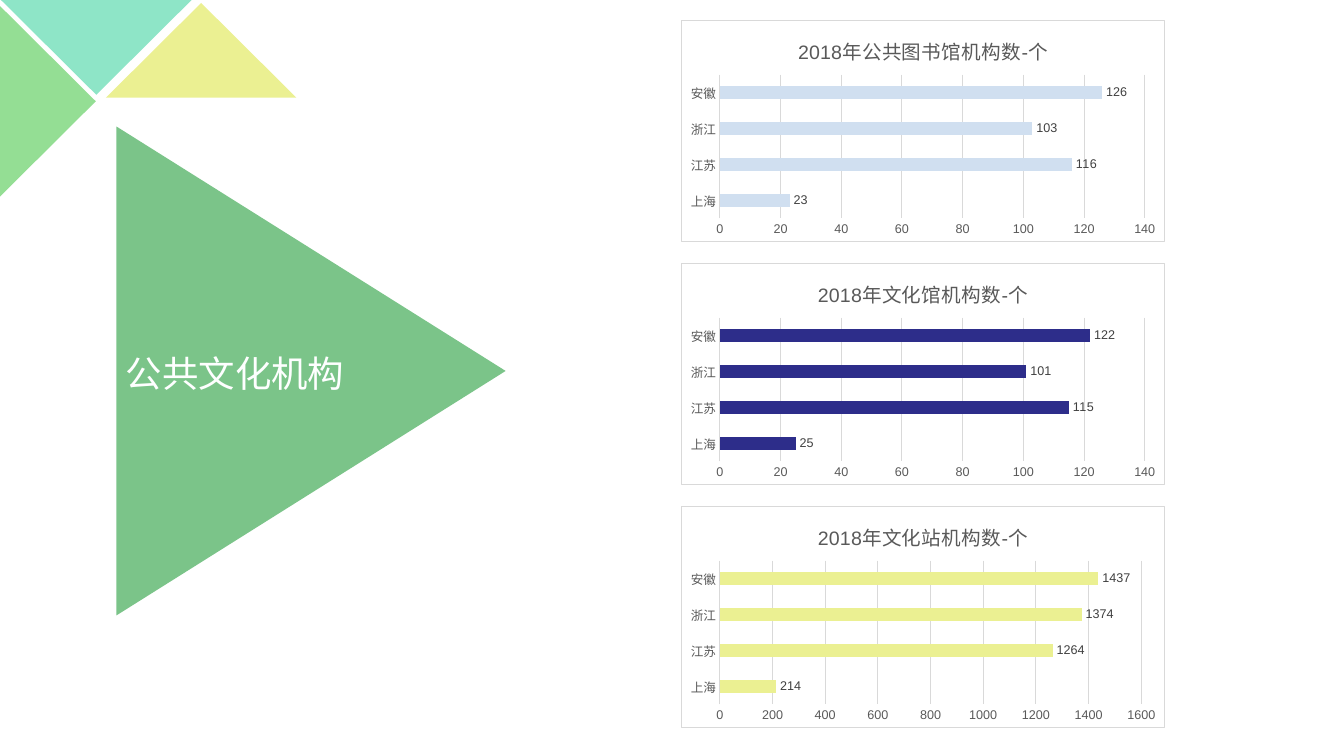
import pptx
import pptx.chart.data
import pptx.dml.color
import pptx.enum.chart
import pptx.enum.shapes
import pptx.enum.text
import pptx.oxml
import pptx.util
from pptx.dml.color import RGBColor
from pptx.util import Inches

GREEN = RGBColor(0x7B, 0xC4, 0x89)
LIGHT_GREEN = RGBColor(0x94, 0xDE, 0x94)
MINT = RGBColor(0x8E, 0xE5, 0xC7)
YELLOW = RGBColor(0xEB, 0xF0, 0x92)
PALE_BLUE = RGBColor(0xD0, 0xDF, 0xF0)
NAVY = RGBColor(0x2D, 0x2D, 0x8A)
NEAR_WHITE = RGBColor(0xFE, 0xFF, 0xFF)
BLACK = RGBColor(0, 0, 0)
LABEL_GREY = RGBColor(0x40, 0x40, 0x40)
TEXT_GREY = RGBColor(0x59, 0x59, 0x59)
LINE_GREY = RGBColor(0xD9, 0xD9, 0xD9)

REGIONS = ["上海", "江苏", "浙江", "安徽"]
INSTITUTIONS = [
    ("公共图书馆", [23, 116, 103, 126], PALE_BLUE),
    ("文化馆", [25, 115, 101, 122], NAVY),
    ("文化站", [214, 1264, 1374, 1437], YELLOW),
]
TRIANGLES = [
    ((0.66, 1.75, 4.85, 3.86), 90, GREEN),
    ((-0.47, 0.53, 1.89, 0.95), 90, LIGHT_GREEN),
    ((0.01, 0, 1.89, 0.94), 180, MINT),
    ((1.05, 0.03, 1.89, 0.94), 0, YELLOW),
]
CHART_FRAME = (
    '<c:spPr xmlns:c="http://schemas.openxmlformats.org/drawingml/2006/chart"'
    ' xmlns:a="http://schemas.openxmlformats.org/drawingml/2006/main">'
    '<a:solidFill><a:srgbClr val="FFFFFF"/></a:solidFill>'
    f'<a:ln w="9525"><a:solidFill><a:srgbClr val="{LINE_GREY}"/></a:solidFill></a:ln>'
    '</c:spPr>'
)


def apply(target, values):
    for name, value in values.items():
        setattr(target, name, value)


class SlideBuilder:
    font_name = "Arial"
    line_width = pptx.util.Pt(0.75)

    def __init__(self, slide):
        self.slide = slide

    def style_font(self, font, size, color):
        apply(font, {"name": self.font_name, "size": pptx.util.Pt(size), "bold": False})
        font.color.rgb = color

    def style_line(self, line):
        line.color.rgb = LINE_GREY
        line.width = self.line_width

    def triangle(self, box, rotation, color):
        shape = self.slide.shapes.add_shape(
            pptx.enum.shapes.MSO_SHAPE.ISOSCELES_TRIANGLE, *map(Inches, box))
        shape.rotation = rotation
        shape.shadow.inherit = False
        shape.fill.solid()
        shape.fill.fore_color.rgb = color
        shape.line.fill.background()

    def text(self, box, content, size, color):
        shape = self.slide.shapes.add_textbox(*map(Inches, box))
        apply(shape.text_frame, {
            "word_wrap": True,
            "vertical_anchor": pptx.enum.text.MSO_ANCHOR.MIDDLE,
        })
        run = shape.text_frame.paragraphs[0].add_run()
        run.text = content
        self.style_font(run.font, size, color)

    def bar_chart(self, box, title, categories, values, color):
        data = pptx.chart.data.CategoryChartData()
        data.categories = categories
        data.add_series(title, values)
        chart = self.slide.shapes.add_chart(
            pptx.enum.chart.XL_CHART_TYPE.BAR_CLUSTERED, *map(Inches, box), data).chart
        self.style_font(chart.font, 10, BLACK)
        apply(chart, {"has_legend": False, "has_title": True})
        chart.chart_title.include_in_layout = False
        run = chart.chart_title.text_frame.paragraphs[0].add_run()
        run.text = title
        self.style_font(run.font, 14, TEXT_GREY)
        for axis in (chart.category_axis, chart.value_axis):
            apply(axis, {
                "major_tick_mark": pptx.enum.chart.XL_TICK_MARK.NONE,
                "minor_tick_mark": pptx.enum.chart.XL_TICK_MARK.NONE,
            })
            self.style_font(axis.tick_labels.font, 9, TEXT_GREY)
        self.style_line(chart.category_axis.format.line)
        chart.value_axis.format.line.fill.background()
        chart.value_axis.has_major_gridlines = True
        self.style_line(chart.value_axis.major_gridlines.format.line)
        plot = chart.plots[0]
        apply(plot, {"gap_width": 182, "vary_by_categories": False})
        series = plot.series[0]
        series.format.fill.solid()
        series.format.fill.fore_color.rgb = color
        labels = series.data_labels
        apply(labels, {
            "show_value": True,
            "position": pptx.enum.chart.XL_LABEL_POSITION.OUTSIDE_END,
        })
        self.style_font(labels.font, 9, LABEL_GREY)
        chart.element.find("{*}chart").addnext(pptx.oxml.parse_xml(CHART_FRAME))


def main():
    presentation = pptx.Presentation()
    apply(presentation, {"slide_width": Inches(13.33), "slide_height": Inches(7.5)})
    builder = SlideBuilder(presentation.slides.add_slide(presentation.slide_layouts[6]))
    for box, rotation, color in TRIANGLES:
        builder.triangle(box, rotation, color)
    builder.text((1.15, 3.02, 3.06, 1.36), "公共文化机构", 26, NEAR_WHITE)
    for index, (institution, values, color) in enumerate(INSTITUTIONS):
        builder.bar_chart((6.75, 0.2 + 2.41 * index, 4.81, 2.2),
                          f"2018年{institution}机构数-个", REGIONS, values, color)
    presentation.save("out.pptx")


if __name__ == "__main__":
    main()
